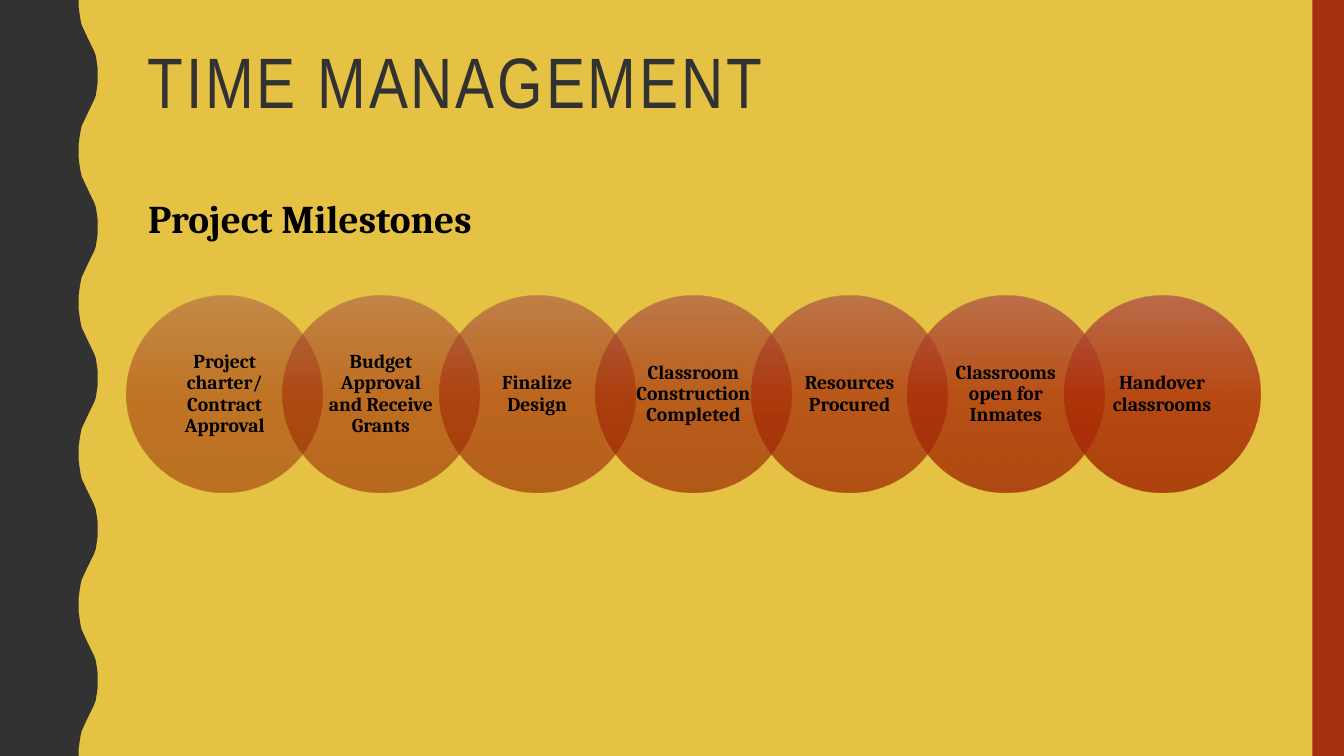
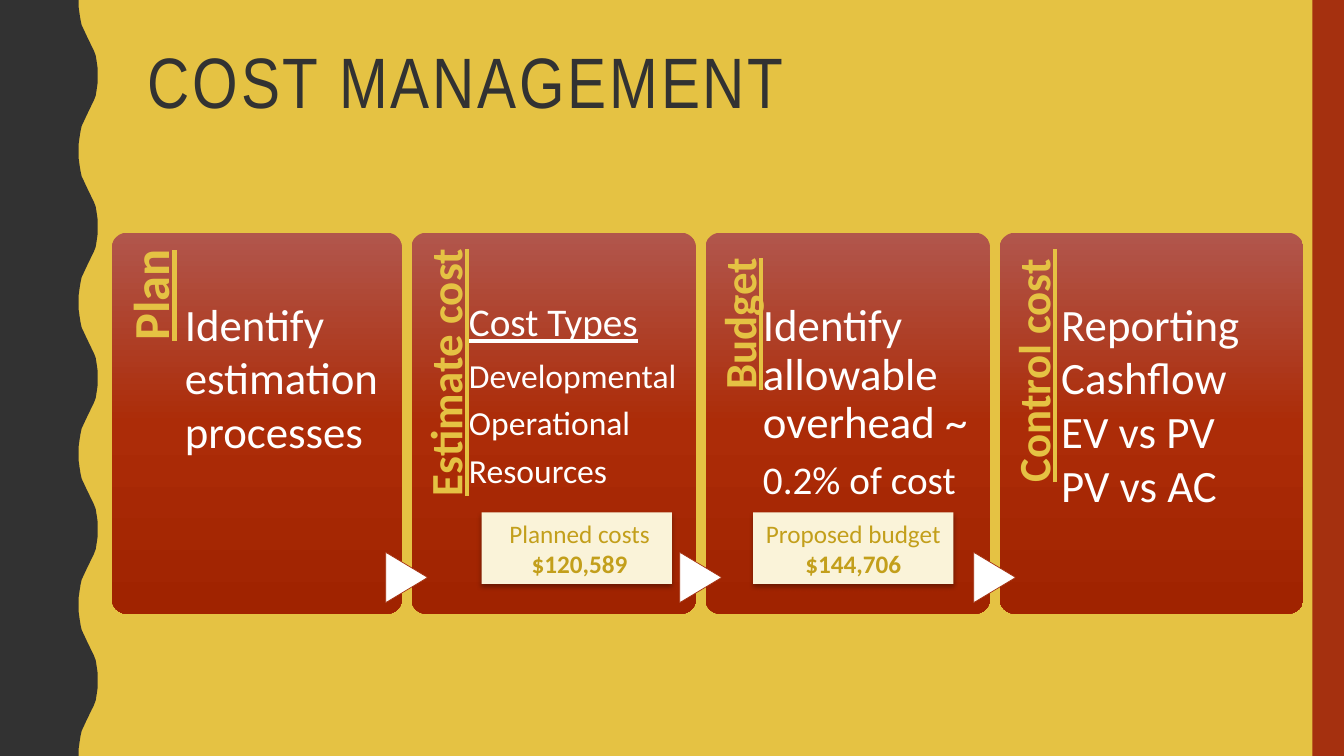
from lxml import etree
from pptx import Presentation
from pptx import util as u
from pptx.dml.color import RGBColor
from pptx.enum import shapes, text
from pptx.oxml.ns import qn

Pt = u.Pt
SHAPE = shapes.MSO_SHAPE
ALIGN = text.PP_ALIGN
GOLD, DARK, RED = "E5C243", "323232", "A5300F"
WHITE, BLACK, CREAM, OCHRE = "FFFFFF", "000000", "FAF3D9", "C39F1B"
CARD_STOPS = ["B1564C", "AC2C08", "A02300"]
HALF_WAVE = [(56.2, 0), (56.2, 5), (56.9, 10), (57.6, 14.4), (58.4, 18),
             (59.8, 21), (61.2, 24), (62.6, 27), (64.1, 30), (65.5, 33),
             (67, 36), (68.4, 39.6), (69.1, 44), (69.8, 49), (69.8, 54)]


def rgb(value):
    return RGBColor.from_string(value)


def blend(first, last, t):
    pairs = [(int(first[i:i + 2], 16), int(last[i:i + 2], 16)) for i in (0, 2, 4)]
    return "".join(f"{round(a + (b - a) * t):02X}" for a, b in pairs)


def add_color(parent, value, alpha):
    color = etree.SubElement(parent, qn("a:srgbClr"), val=value)
    etree.SubElement(color, qn("a:alpha"), val=str(alpha * 1000))


class Deck:
    def __init__(self):
        self.prs = Presentation()
        self.prs.slide_width, self.prs.slide_height = Pt(960), Pt(540)
        self.s = None

    def slide(self, title):
        self.s = self.prs.slides.add_slide(self.prs.slide_layouts[6])
        bg = self.s.background.fill
        bg.solid()
        bg.fore_color.rgb = rgb(GOLD)
        self.wave()
        self.shape(SHAPE.RECTANGLE, 937.5, 0, 22.5, 540, RED)
        tf = self.text(98.6, 30.2, 801, 78, [(title, 51)], "Arial Narrow", DARK,
                       spacing=0.9, insets=(7.2, 3.6, 7.2, 3.6))
        tf.paragraphs[0].font._rPr.set("spc", "200")

    def wave(self):
        points = [(0, 0)]
        for i in range(10):
            half = HALF_WAVE if i % 2 == 0 else [(x, 54 - y) for x, y in HALF_WAVE[::-1]]
            points += [(x, y + 54 * i) for x, y in half]
        points.append((0, 540))
        fb = self.s.shapes.build_freeform(0, 0, scale=1.0)
        fb.add_line_segments([(Pt(x), Pt(y)) for x, y in points[1:]], close=True)
        self.paint(fb.convert_to_shape(), DARK)

    def paint(self, sp, fill, line=None):
        sp.shadow.inherit = False
        sp.fill.solid()
        sp.fill.fore_color.rgb = rgb(fill)
        if line:
            sp.line.color.rgb = rgb(line)
            sp.line.width = Pt(0.5)
        else:
            sp.line.fill.background()

    def shape(self, kind, x, y, w, h, fill, line=None):
        sp = self.s.shapes.add_shape(kind, Pt(x), Pt(y), Pt(w), Pt(h))
        self.paint(sp, fill, line)
        return sp

    def gradient(self, sp, stops, alpha=100):
        sp.fill.gradient()
        sp.fill.gradient_angle = 270
        gs_list = next(sp._element.spPr.iter(qn("a:gsLst")))
        for gs in list(gs_list):
            gs_list.remove(gs)
        for pos, value in zip((0, 50000, 100000), stops):
            add_color(etree.SubElement(gs_list, qn("a:gs"), pos=str(pos)), value, alpha)

    def drop_shadow(self, sp):
        effects = sp._element.spPr.find(qn("a:effectLst"))
        shadow = etree.SubElement(effects, qn("a:outerShdw"), blurRad=str(Pt(3.5)),
                                  dist=str(Pt(2.2)), dir="5400000", rotWithShape="0")
        add_color(shadow, BLACK, 32)

    def set_text(self, tf, paras, font, color, align=ALIGN.LEFT, spacing=1.0,
                 insets=(0, 0, 0, 0), anchor=text.MSO_ANCHOR.TOP):
        tf.word_wrap = True
        tf.vertical_anchor = anchor
        tf.margin_left, tf.margin_top, tf.margin_right, tf.margin_bottom = map(Pt, insets)
        for i, (words, size, *style) in enumerate(paras):
            p = tf.paragraphs[0] if i == 0 else tf.add_paragraph()
            p.text = words
            p.alignment = align
            p.line_spacing = spacing
            p.font.name, p.font.size = font, Pt(size)
            p.font.color.rgb = rgb(color)
            p.font.bold = "bold" in style
            p.font.underline = "underline" in style
            p.space_after = Pt(sum(v for v in style if not isinstance(v, str)))
        return tf

    def text(self, x, y, w, h, paras, font, color, rotation=0, **layout):
        box = self.s.shapes.add_textbox(Pt(x), Pt(y), Pt(w), Pt(h))
        box.rotation = rotation
        return self.set_text(box.text_frame, paras, font, color, **layout)

    def milestone(self, x, label, t):
        sp = self.shape(SHAPE.OVAL, x, 211.5, 140, 140, RED)
        ends = [("A3544C", "B2564C"), ("9D2807", "AD2D09"), ("912000", "A02401")]
        self.gradient(sp, [blend(a, b, t) for a, b in ends], round(50 + 30 * t))
        self.set_text(sp.text_frame, [(label, 14, "bold")], "Cambria", BLACK,
                      align=ALIGN.CENTER, spacing=0.9, insets=(8, 1.6, 8, 1.6),
                      anchor=text.MSO_ANCHOR.MIDDLE)

    def card(self, x, w, label, size, end_gap):
        sp = self.shape(SHAPE.ROUNDED_RECTANGLE, x, 166.3, w, 272, RED)
        sp.adjustments[0] = 0.05
        self.gradient(sp, CARD_STOPS)
        length, depth = 223, 50
        self.text(x + (depth - length) / 2, 166.3 + (length - depth) / 2, length, depth,
                  [(label, size, "bold", "underline")], "Calibri", GOLD, rotation=270,
                  align=ALIGN.RIGHT, spacing=0.9, insets=(0, size * 0.27, end_gap, 0))

    def arrow(self, center):
        sp = self.shape(SHAPE.FLOWCHART_EXTRACT, center - 18, 397.5, 36, 30, WHITE, RED)
        sp.rotation = 90

    def figure(self, x, w, label, amount, shift=0):
        sp = self.shape(SHAPE.RECTANGLE, x, 366, w, 51, CREAM)
        self.drop_shadow(sp)
        self.set_text(sp.text_frame, [(label, 18), (amount, 18, "bold")], "Calibri", OCHRE,
                      align=ALIGN.CENTER, insets=(3 + shift, 3.6, 3, 3.6),
                      anchor=text.MSO_ANCHOR.MIDDLE)


def time_slide(deck):
    deck.slide("TIME MANAGEMENT")
    deck.text(105.8, 139, 787, 40, [("Project Milestones", 28, "bold")], "Cambria", BLACK)
    labels = ["Project charter/ Contract Approval", "Budget Approval and Receive Grants",
              "Finalize Design", "Classroom Construction Completed",
              "Resources Procured", "Classrooms open for Inmates", "Handover classrooms"]
    for i, label in enumerate(labels):
        deck.milestone(90.5 + 111.6 * i, label, i / (len(labels) - 1))


def cost_slide(deck):
    deck.slide("COST MANAGEMENT")
    cards = [
        (207, "Plan", 36, 12, 52, 143, 211.7, 1.0,
         [("Identify estimation processes", 32)]),
        (203, "Estimate cost", 32, 11.5, 41, 151, 216.5, 0.9,
         [("Cost Types", 28, "underline", 10), ("Developmental", 24, 8),
          ("Operational", 24, 8), ("Resources", 24)]),
        (203, "Budget", 32, 18, 41, 151, 216.5, 0.9,
         [("Identify allowable overhead ~", 32, 8.5), ("0.2% of cost", 28)]),
        (217, "Control cost ", 32, 11.5, 44, 155, 211.7, 1.0,
         [(words, 32) for words in ("Reporting", "Cashflow", "EV vs PV", "PV vs AC")]),
    ]
    x, gap = 80, 7
    centers = []
    for w, label, size, end_gap, indent, width, top, spacing, paras in cards:
        deck.card(x, w, label, size, end_gap)
        deck.text(x + indent, top, width, 160, paras, "Calibri", WHITE, spacing=spacing)
        x += w + gap
        centers.append(x - gap / 2)
    for center in centers[:-1]:
        deck.arrow(center)
    deck.figure(344, 136, "Planned costs", "$120,589", shift=4)
    deck.figure(538, 143, "Proposed budget", "$144,706")


def main():
    deck = Deck()
    time_slide(deck)
    cost_slide(deck)
    deck.prs.save("out.pptx")


if __name__ == "__main__":
    main()
